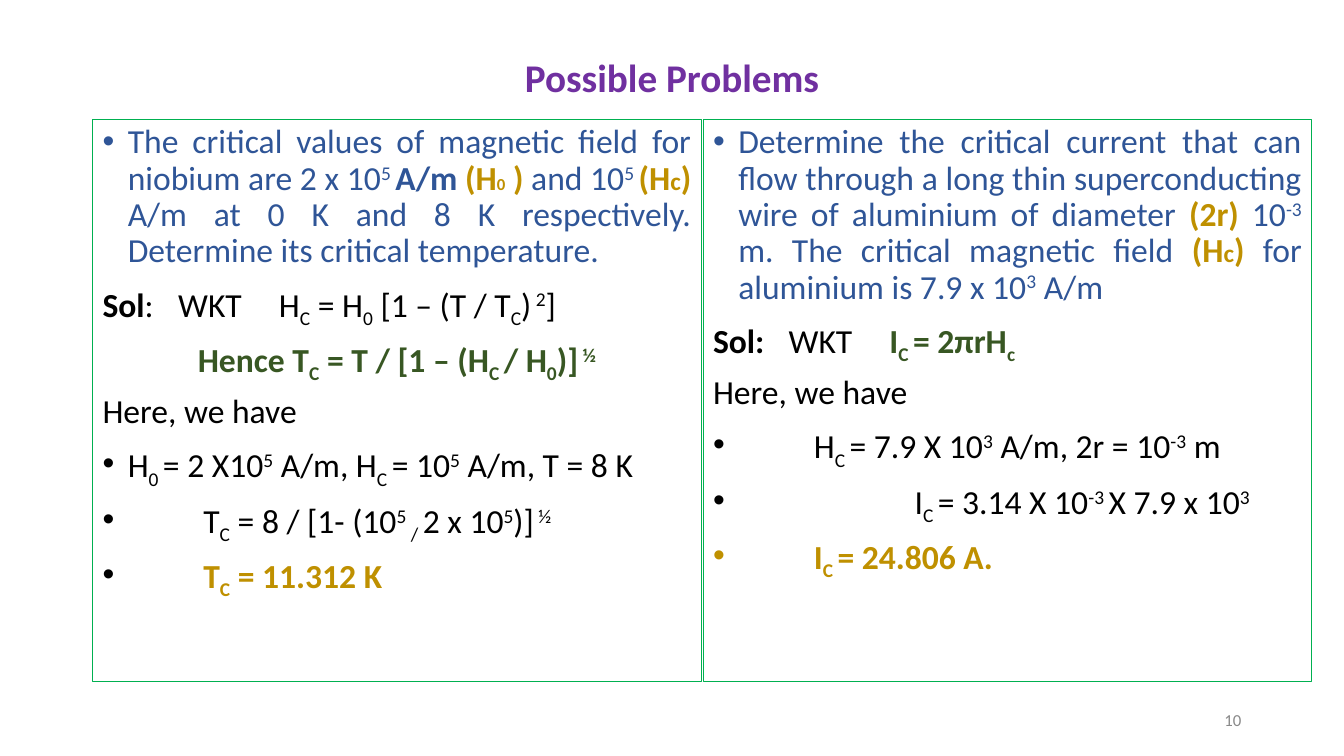
from lxml import etree
from pptx import Presentation
from pptx.dml.color import RGBColor
from pptx.enum.shapes import MSO_SHAPE
from pptx.enum.text import MSO_ANCHOR, PP_ALIGN
from pptx.oxml.ns import qn
from pptx.util import Pt

PX = 9144  # 100 px to the inch
RECT = MSO_SHAPE.RECTANGLE
TOP, MIDDLE = MSO_ANCHOR.TOP, MSO_ANCHOR.MIDDLE
LEFT, CENTER = PP_ALIGN.LEFT, PP_ALIGN.CENTER
RIGHT, JUST = PP_ALIGN.RIGHT, PP_ALIGN.JUSTIFY

PURPLE = RGBColor(0x70, 0x30, 0xA0)
BLUE = RGBColor(0x2F, 0x55, 0x97)
GOLD = RGBColor(0xBF, 0x90, 0x00)
GREEN = RGBColor(0x38, 0x57, 0x23)
BLACK = RGBColor(0x00, 0x00, 0x00)
GRAY = RGBColor(0x89, 0x89, 0x89)
EDGE = RGBColor(0x00, 0xB0, 0x50)

BASE = {"^": "30000", "_": "-25000"}
STOPS = range(0, 800, 100)
LIST = range(100, 900, 100)


def add_runs(par, text, color, bold=False, size=24):
    """Split text at bars; a leading ^ raises a piece, a leading _ lowers it."""
    for piece in text.split("|"):
        run = par.add_run()
        run.text = piece.lstrip("^_")
        run.font.name, run.font.size = "Calibri", Pt(size)
        run.font.bold, run.font.color.rgb = bold, color
        if piece[0] in BASE:
            run._r.get_or_add_rPr().set("baseline", BASE[piece[0]])


def set_layout(par, bullet, stops):
    """Give a paragraph its hanging indent, bullet and tab stops."""
    props = par._p.get_or_add_pPr()
    props.set("marL", str(25 * PX))
    props.set("indent", str(-25 * PX))
    if bullet is None:
        etree.SubElement(props, qn("a:buNone"))
    else:
        tint = etree.SubElement(props, qn("a:buClr"))
        etree.SubElement(tint, qn("a:srgbClr"), val=str(bullet))
        etree.SubElement(props, qn("a:buFont"), typeface="Arial")
        etree.SubElement(props, qn("a:buChar"), char="•")
    tabs = etree.SubElement(props, qn("a:tabLst"))
    for stop in stops:
        etree.SubElement(tabs, qn("a:tab"), pos=str(stop * PX), algn="l")


# Each paragraph: alignment, bullet colour, tab stops, runs
HERE = (LEFT, None, STOPS, [("Here, we have", BLACK)])
FIELD = [
    (JUST, BLUE, LIST, [
        ("The critical values of magnetic field for niobium are 2 x 10|^5 ", BLUE),
        ("A/m ", BLUE, True),
        ("(H", GOLD, True), ("0", GOLD, True, 12), (" ) ", GOLD, True),
        ("and 10|^5 ", BLUE),
        ("(H", GOLD, True), ("c", GOLD, True, 18), (") ", GOLD, True),
        ("A/m at 0 K and 8 K respectively. "
         "Determine its critical temperature.", BLUE)]),
    (LEFT, None, STOPS, [
        ("Sol", BLACK, True),
        (":\tWKT \tH|_C| = H|_0| [1 – (T / T|_C|)|^ 2|]", BLACK)]),
    (CENTER, None, STOPS, [
        ("Hence T|_C| = T / [1 – (H|_C |/ H|_0|)]|^ ½", GREEN, True)]),
    HERE,
    (LEFT, BLACK, LIST, [
        ("H|_0 |= 2 X10|^5| A/m, H|_C |= 10|^5| A/m, T = 8 K", BLACK)]),
    (LEFT, BLACK, LIST, [
        ("\tT|_C| = 8 / [1- (10|^5|_ / |2 x 10|^5|)]|^ ½", BLACK)]),
    (LEFT, BLACK, LIST, [
        ("\t", BLACK), ("T|_C| = 11.312 K", GOLD, True)]),
]
CURRENT = [
    (JUST, BLUE, LIST, [
        ("Determine the critical current that can flow through a long thin "
         "superconducting wire of aluminium of diameter ", BLUE),
        ("(2r) ", GOLD, True),
        ("10|^-3| m. The critical magnetic field ", BLUE),
        ("(H", GOLD, True), ("c", GOLD, True, 18), (") ", GOLD, True),
        ("for aluminium is 7.9 x 10|^3| A/m", BLUE)]),
    (LEFT, None, (110, 247), [
        ("Sol:", BLACK, True), ("\tWKT\t", BLACK),
        ("I|_C |= 2πrH|_c", GREEN, True)]),
    HERE,
    (LEFT, BLACK, LIST, [
        ("\tH|_C |= 7.9 X 10|^3| A/m, 2r = 10|^-3| m", BLACK)]),
    (LEFT, BLACK, LIST, [
        ("\t\tI|_C |= 3.14 X 10|^-3 |X 7.9 x 10|^3", BLACK)]),
    (LEFT, GOLD, LIST, [("\tI|_C |= 24.806 A.", GOLD, True)]),
]

deck = Presentation()
deck.slide_width, deck.slide_height = 1334 * PX, 750 * PX
slide = deck.slides.add_slide(deck.slide_layouts[6])

# Title and page number
for text, area, align, color, bold, size in (
        ("Possible Problems", (92, 40, 1150, 79), CENTER, PURPLE, True, 28),
        ("10", (942, 695, 300, 40), RIGHT, GRAY, False, 12)):
    label = slide.shapes.add_textbox(*(n * PX for n in area))
    frame = label.text_frame
    frame.word_wrap, frame.vertical_anchor = True, MIDDLE
    par = frame.paragraphs[0]
    par.alignment, par.line_spacing = align, 0.9
    add_runs(par, text, color, bold, size)

# Two problem panels
for col, problem in enumerate((FIELD, CURRENT)):
    panel = slide.shapes.add_shape(
        RECT, (92 + 606 * col) * PX, 119 * PX, 604 * PX, 557 * PX)
    panel.shadow.inherit = False
    panel.fill.background()
    panel.line.color.rgb, panel.line.width = EDGE, Pt(0.75)
    frame = panel.text_frame
    frame.word_wrap, frame.vertical_anchor = True, TOP
    for row, (align, bullet, stops, runs) in enumerate(problem):
        par = frame.add_paragraph() if row else frame.paragraphs[0]
        par.alignment, par.line_spacing = align, 0.9
        par.space_before = Pt(10 if row else 0)
        set_layout(par, bullet, stops)
        for run in runs:
            add_runs(par, *run)

deck.save("out.pptx")
